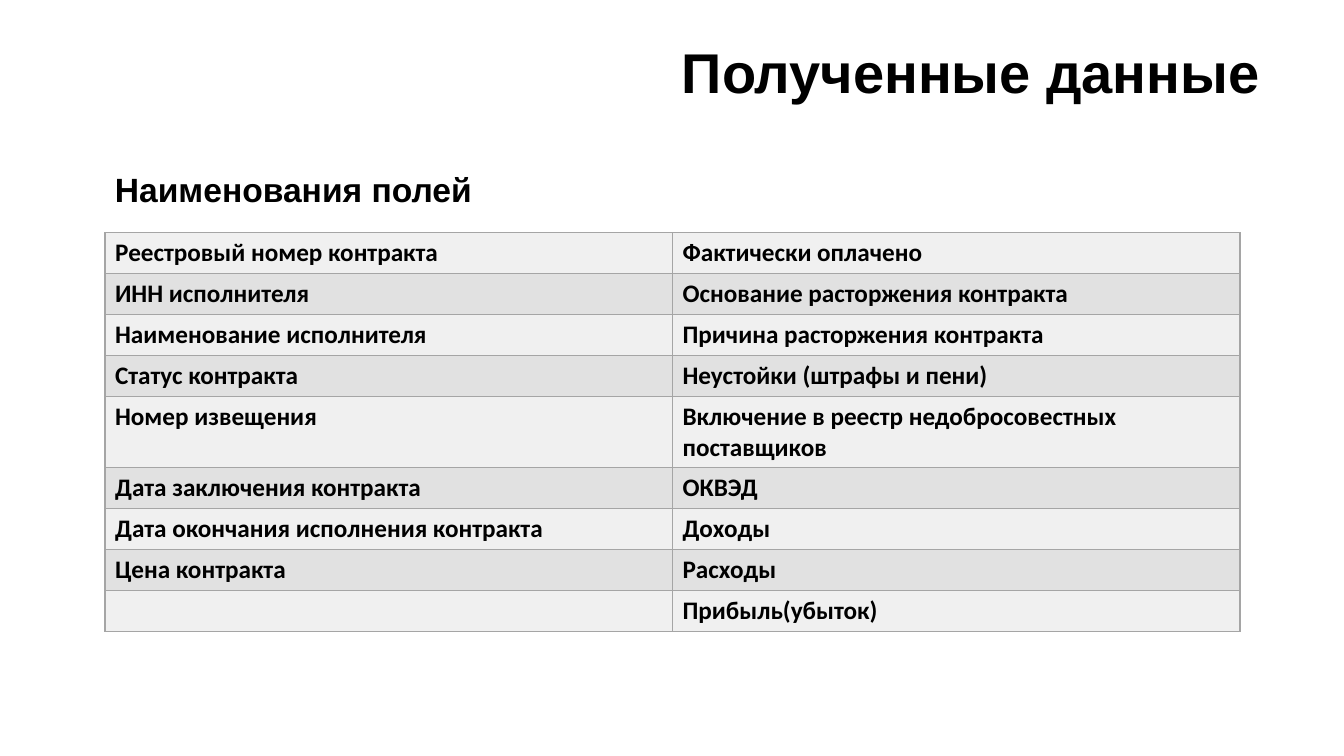
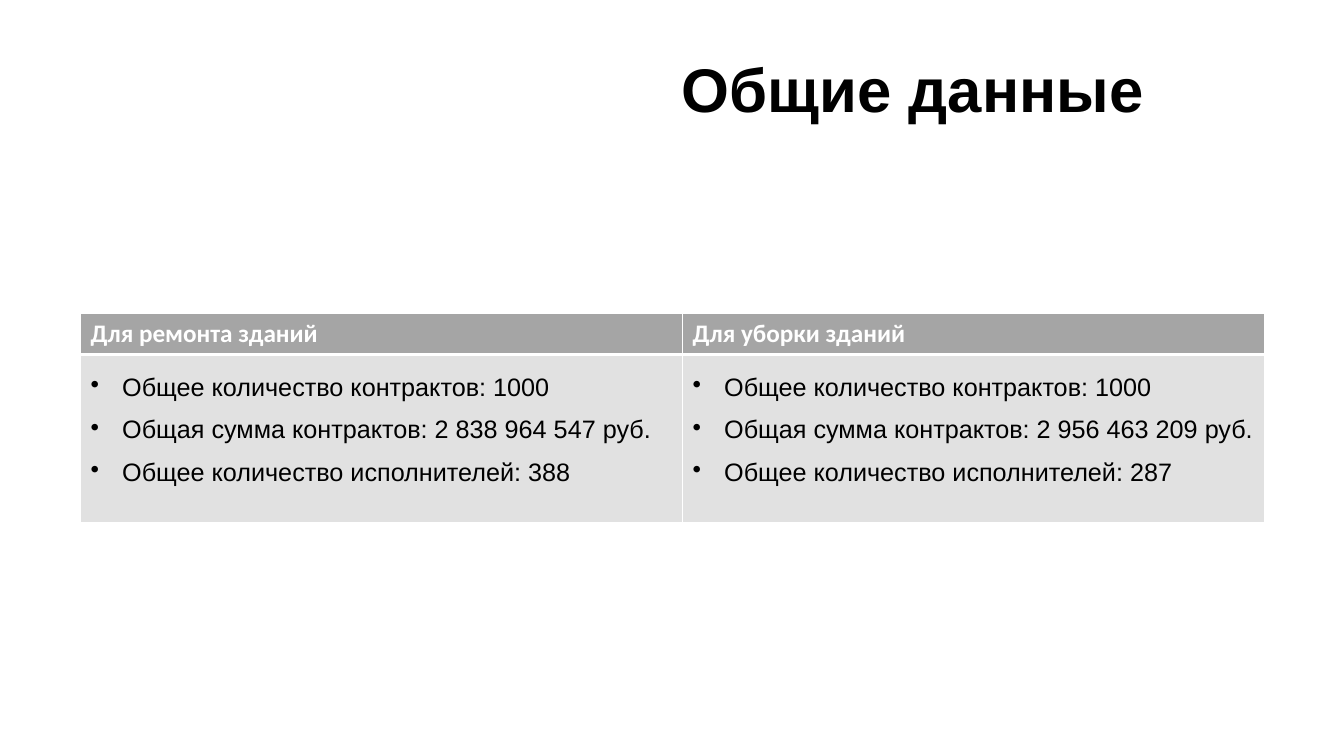
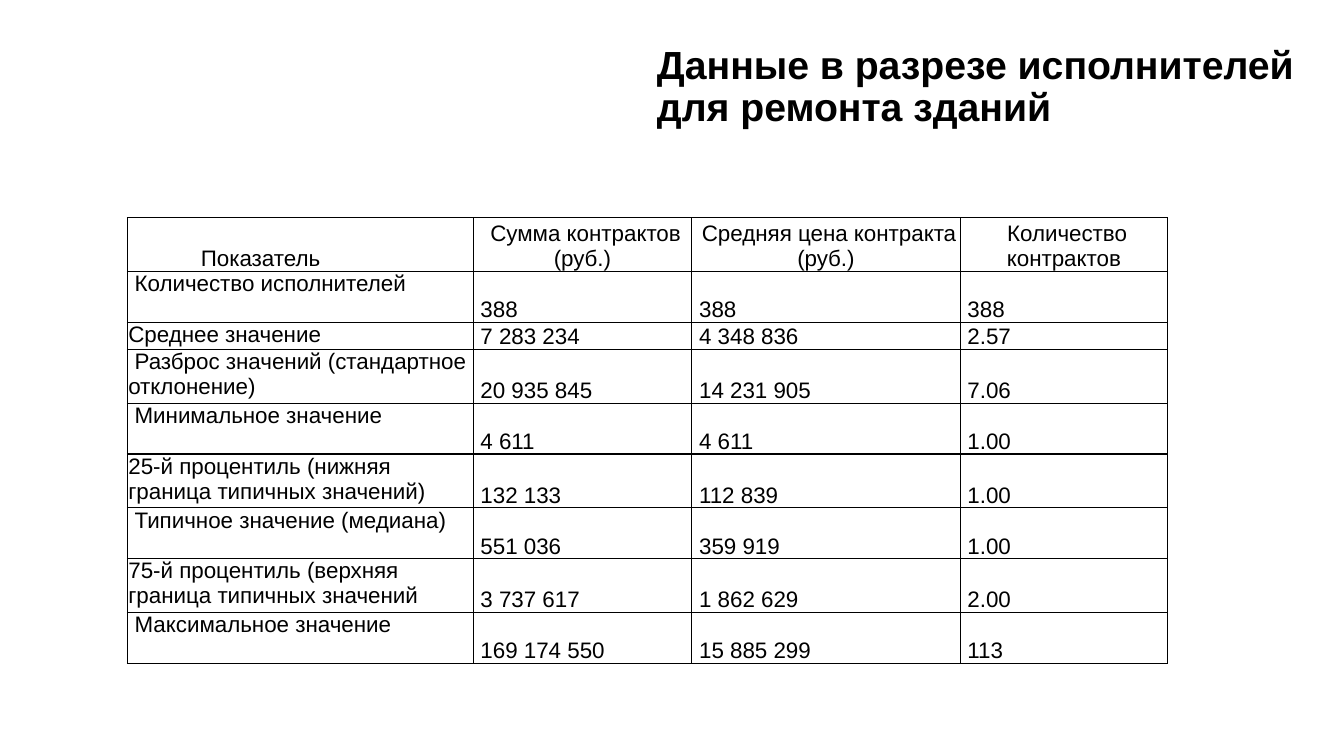
from lxml import etree
from pptx import Presentation
from pptx.dml.color import RGBColor
from pptx.enum import text
from pptx.oxml import ns
from pptx.util import Pt

BLACK, WHITE, GRAY = "000000", "FFFFFF", "A5A5A5"
LIGHT, MEDIUM = "F0F0F0", "E1E1E1"
TITLE_FONT, TABLE_FONT = "Arial", "Calibri"
TOP, MIDDLE, BOTTOM = (text.MSO_ANCHOR.TOP, text.MSO_ANCHOR.MIDDLE,
                       text.MSO_ANCHOR.BOTTOM)

FIELDS = [
    ("Реестровый номер контракта", "Фактически оплачено"),
    ("ИНН исполнителя", "Основание расторжения контракта"),
    ("Наименование исполнителя", "Причина расторжения контракта"),
    ("Статус контракта", "Неустойки (штрафы и пени)"),
    ("Номер извещения", "Включение в реестр недобросовестных поставщиков"),
    ("Дата заключения контракта", "ОКВЭД"),
    ("Дата окончания исполнения контракта", "Доходы"),
    ("Цена контракта", "Расходы"),
    ("", "Прибыль(убыток)"),
]
TOTALS = [
    ("Для ремонта зданий", [
        "Общее количество контрактов: 1000",
        "Общая сумма контрактов: 2 838 964 547 руб.",
        "Общее количество исполнителей: 388"]),
    ("Для уборки зданий", [
        "Общее количество контрактов: 1000",
        "Общая сумма контрактов: 2 956 463 209 руб.",
        "Общее количество исполнителей: 287"]),
]
STATISTICS = [
    ("Показатель", "Сумма контрактов (руб.)",
     "Средняя цена контракта (руб.)", "Количество контрактов"),
    ("Количество исполнителей", "388", "388", "388"),
    ("Среднее значение", "7 283 234", "4 348 836", "2.57"),
    ("Разброс значений (стандартное отклонение)",
     "20 935 845", "14 231 905", "7.06"),
    ("Минимальное значение", "4 611", "4 611", "1.00"),
    ("25-й процентиль (нижняя граница типичных значений)",
     "132 133", "112 839", "1.00"),
    ("Типичное значение (медиана)", "551 036", "359 919", "1.00"),
    ("75-й процентиль (верхняя граница типичных значений",
     "3 737 617", "1 862 629", "2.00"),
    ("Максимальное значение", "169 174 550", "15 885 299", "113"),
]
SINGLE_LINE = "Среднее значение"
FLUSH_LABELS = (SINGLE_LINE, STATISTICS[5][0], STATISTICS[7][0])


def color(value):
    return RGBColor.from_string(value)


def style(para, size, font, ink=BLACK, bold=False):
    for span in para.runs:
        span.font.size = Pt(size)
        span.font.name = font
        span.font.bold = bold
        span.font.color.rgb = color(ink)


def indent(para, left, first):
    props = para._p.get_or_add_pPr()
    props.set("marL", str(Pt(left)))
    props.set("indent", str(Pt(first)))
    return props


def add_text(page, words, at, size, anchor=TOP, spacing=1.0):
    box = page.shapes.add_textbox(*map(Pt, at))
    frame = box.text_frame
    frame.word_wrap = True
    frame.vertical_anchor = anchor
    frame.text = words
    para = frame.paragraphs[0]
    para.line_spacing = spacing
    style(para, size, TITLE_FONT, bold=True)


def add_page(deck, title, at, size):
    page = deck.slides.add_slide(deck.slide_layouts[6])
    add_text(page, title, at, size, MIDDLE, 0.9)
    return page


def add_grid(page, left, top, widths, heights):
    frame = page.shapes.add_table(len(heights), len(widths), Pt(left), Pt(top),
                                  Pt(sum(widths)), Pt(sum(heights)))
    table = frame.table
    table.first_row = table.horz_banding = False
    for column, width in zip(table.columns, widths):
        column.width = Pt(width)
    for row, height in zip(table.rows, heights):
        row.height = Pt(height)
    return table


def paint(cell, line, fill=None, thick=()):
    props = cell._tc.get_or_add_tcPr()
    for side in "LRTB":
        width = 3 if side in thick else 1
        edge = etree.SubElement(props, ns.qn(f"a:ln{side}"), w=str(Pt(width)))
        solid = etree.SubElement(edge, ns.qn("a:solidFill"))
        etree.SubElement(solid, ns.qn("a:srgbClr"), val=line)
    if fill:
        cell.fill.solid()
        cell.fill.fore_color.rgb = color(fill)
    else:
        cell.fill.background()


def build_fields(deck):
    page = add_page(deck, "Полученные данные", (480, 22.3, 485.3, 63.4), 40)
    heights = [50.4 if len(right) > 40 else 29.3 for left, right in FIELDS]
    table = add_grid(page, 75, 166.3, [405.4] * 2, heights)
    for r, row in enumerate(FIELDS):
        for c, words in enumerate(row):
            cell = table.cell(r, c)
            cell.text = words
            paint(cell, GRAY, MEDIUM if r % 2 else LIGHT)
            style(cell.text_frame.paragraphs[0], 18, TABLE_FONT, bold=True)
    add_text(page, "Наименования полей", (75, 117.4, 405.4, 36), 24)


def build_totals(deck):
    page = add_page(deck, "Общие данные", (480, 36.7, 414, 58.3), 44)
    table = add_grid(page, 57.6, 224, [430, 415.4], [29.3, 119.7])
    for c, (heading, facts) in enumerate(TOTALS):
        head, body = table.cell(0, c), table.cell(1, c)
        head.text = heading
        paint(head, WHITE, GRAY, "B")
        style(head.text_frame.paragraphs[0], 18, TABLE_FONT, WHITE, True)
        body.text = "\n".join(facts)
        paint(body, WHITE, MEDIUM, "T")
        for para in body.text_frame.paragraphs:
            props = indent(para, 22.5, -22.5)
            etree.SubElement(props, ns.qn("a:buChar"), char="•")
            para.line_spacing = 1.5
            style(para, 18, TITLE_FONT)


def build_statistics(deck):
    page = add_page(deck, "Данные в разрезе исполнителей для ремонта зданий",
                    (462.2, 23, 484.6, 79.2), 28)
    heights = [18.4 if row[0] == SINGLE_LINE else 36.4 for row in STATISTICS]
    table = add_grid(page, 91, 155.5, [247, 156.2, 191.7, 148.3], heights)
    for r, row in enumerate(STATISTICS):
        for c, words in enumerate(row):
            cell = table.cell(r, c)
            cell.text = words
            cell.margin_left = cell.margin_right = Pt(0.7)
            cell.margin_top = cell.margin_bottom = Pt(0)
            cell.vertical_anchor = TOP if r and c == 0 else BOTTOM
            paint(cell, BLACK)
            para = cell.text_frame.paragraphs[0]
            if words not in FLUSH_LABELS:
                indent(para, 0, 4.5)
            if r == 0:
                para.alignment = text.PP_ALIGN.CENTER
            style(para, 16, TITLE_FONT)
    table.cell(0, 0).margin_right = Pt(62)


def main():
    deck = Presentation()
    deck.slide_width, deck.slide_height = Pt(960), Pt(540)
    build_fields(deck)
    build_totals(deck)
    build_statistics(deck)
    deck.save("out.pptx")


if __name__ == "__main__":
    main()
